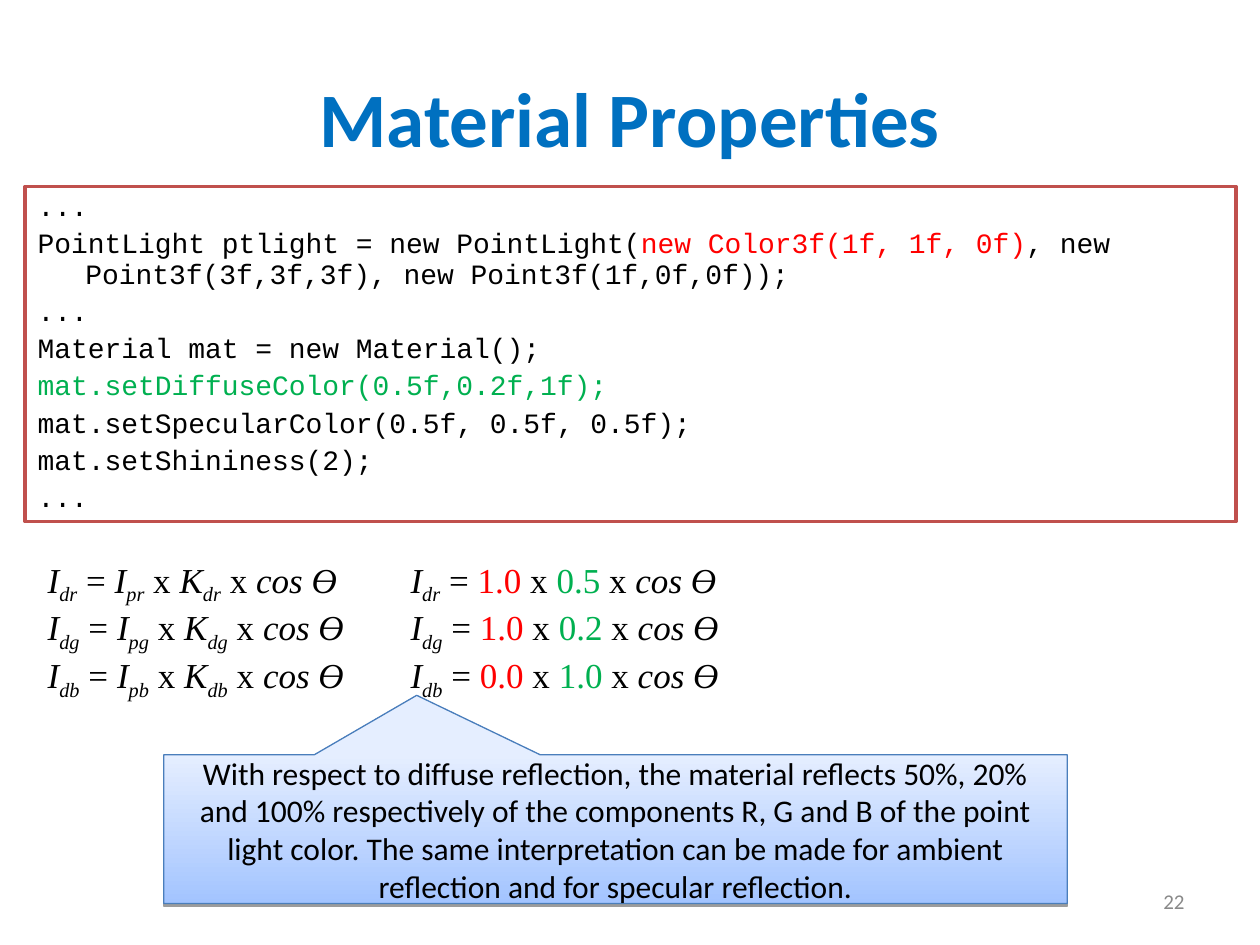
from lxml import etree
from pptx import Presentation
from pptx.dml.color import RGBColor
from pptx.enum.shapes import MSO_SHAPE
from pptx.enum.text import MSO_ANCHOR, PP_ALIGN
from pptx.oxml.ns import qn
from pptx.util import Inches, Pt

RECTANGLE = MSO_SHAPE.RECTANGLE
CALLOUT = MSO_SHAPE.RECTANGULAR_CALLOUT
TOP, MIDDLE = MSO_ANCHOR.TOP, MSO_ANCHOR.MIDDLE
LEFT, CENTER, RIGHT = PP_ALIGN.LEFT, PP_ALIGN.CENTER, PP_ALIGN.RIGHT

COLORS = {
    "title": "0070C0", "text": "000000", "number": "898989", "paper": "FFFFFF",
    "frame": "C0504D", "light": "FF0000", "material": "00B050",
    "callout_bottom": "A3C4FF", "callout_top": "E5EEFF", "callout_line": "4A7EBB",
}

CODE = [
    [("...", "text")],
    [("PointLight ptlight = new PointLight(", "text"),
     ("new Color3f(1f, 1f, 0f)", "light"),
     (", new Point3f(3f,3f,3f), new Point3f(1f,0f,0f));", "text")],
    [("...", "text")],
    [("Material mat = new Material();", "text")],
    [("mat.setDiffuseColor(0.5f,0.2f,1f);", "material")],
    [("mat.setSpecularColor(0.5f, 0.5f, 0.5f);", "text")],
    [("mat.setShininess(2);", "text")],
    [("...", "text")],
]
CHANNELS = [("r", "1.0", "0.5"), ("g", "1.0", "0.2"), ("b", "0.0", "1.0")]
EXPLANATION = (
    "With respect to diffuse reflection, the material reflects 50%, 20% and 100% "
    "respectively of the components R, G and B of the point light color. The same "
    "interpretation can be made for ambient reflection and for specular reflection."
)


def rgb(name):
    """Return the named colour."""
    return RGBColor.from_string(COLORS[name])


def add_run(paragraph, text, font, size, color="text", bold=False, italic=False):
    """Append a formatted run and return it."""
    run = paragraph.add_run()
    run.text = text
    run.font.name, run.font.size = font, Pt(size)
    run.font.bold, run.font.italic = bold, italic
    run.font.color.rgb = rgb(color)
    return run


def next_paragraph(frame, index):
    """Return the first paragraph of a frame or a new one after it."""
    return frame.add_paragraph() if index else frame.paragraphs[0]


def add_label(slide, box, text, size, color, align, bold=False):
    """Place one line of text centred vertically in its box."""
    frame = slide.shapes.add_textbox(*map(Inches, box)).text_frame
    frame.word_wrap = True
    frame.vertical_anchor = MIDDLE
    frame.paragraphs[0].alignment = align
    add_run(frame.paragraphs[0], text, "Calibri", size, color, bold)


def add_code(slide, box):
    """Place the framed listing with hanging indents."""
    listing = slide.shapes.add_shape(RECTANGLE, *map(Inches, box))
    listing.shadow.inherit = False
    listing.fill.solid()
    listing.fill.fore_color.rgb = rgb("paper")
    listing.line.color.rgb = rgb("frame")
    listing.line.width = Pt(2)
    frame = listing.text_frame
    frame.word_wrap = True
    frame.vertical_anchor = TOP
    for index, pieces in enumerate(CODE):
        line = next_paragraph(frame, index)
        line.alignment = LEFT
        line.line_spacing = 0.9
        line.space_before = Pt(4 if index else 0)
        properties = line._p.get_or_add_pPr()
        properties.set("marL", str(Inches(0.38)))
        properties.set("indent", str(-Inches(0.38)))
        for text, color in pieces:
            add_run(line, text, "Courier New", 16, color)


def add_term(paragraph, symbol, subscript):
    """Append an italic symbol with its subscript."""
    add_run(paragraph, symbol, "Times New Roman", 20, italic=True)
    index = add_run(paragraph, subscript, "Times New Roman", 20, italic=True)
    index._r.get_or_add_rPr().set("baseline", "-25000")


def add_equations(slide, box, with_values):
    """Place the diffuse equations, symbolic or with numbers filled in."""
    frame = slide.shapes.add_textbox(*map(Inches, box)).text_frame
    frame.word_wrap = True
    for index, (channel, light, material) in enumerate(CHANNELS):
        equation = next_paragraph(frame, index)
        add_term(equation, "I", "d" + channel)
        factors = [(" = ", "I", "p", light, "light"),
                   (" x ", "K", "d", material, "material")]
        for operator, symbol, kind, value, color in factors:
            add_run(equation, operator, "Times New Roman", 20)
            if with_values:
                add_run(equation, value, "Times New Roman", 20, color)
            else:
                add_term(equation, symbol, kind + channel)
        add_run(equation, " x ", "Times New Roman", 20)
        add_run(equation, "cos Ɵ", "Times New Roman", 20, italic=True)


def add_drop_shadow(shape):
    """Give a shape a faint, sharp shadow below it."""
    shape.shadow.inherit = False
    effects = shape._element.spPr.find(qn("a:effectLst"))
    shadow = etree.SubElement(effects, qn("a:outerShdw"), blurRad="0",
                              dist=str(Pt(1.6)), dir="5400000", rotWithShape="0")
    black = etree.SubElement(shadow, qn("a:srgbClr"), val=COLORS["text"])
    etree.SubElement(black, qn("a:alpha"), val="38000")


def add_explanation(slide, box):
    """Place the gradient callout that points to the equations."""
    callout = slide.shapes.add_shape(CALLOUT, *map(Inches, box))
    callout.adjustments[0], callout.adjustments[1] = -0.22, -0.9
    callout.fill.gradient()
    callout.fill.gradient_angle = 90
    stops = callout.fill.gradient_stops
    for stop, position, name in zip(stops, (0, 1), ("callout_bottom", "callout_top")):
        stop.position = position
        stop.color.rgb = rgb(name)
    callout.line.color.rgb = rgb("callout_line")
    callout.line.width = Pt(0.75)
    add_drop_shadow(callout)
    frame = callout.text_frame
    frame.word_wrap = True
    frame.vertical_anchor = MIDDLE
    frame.paragraphs[0].alignment = CENTER
    add_run(frame.paragraphs[0], EXPLANATION, "Calibri", 18)


def main():
    """Build and save the slide."""
    deck = Presentation()
    deck.slide_width, deck.slide_height = Inches(10), Inches(7.5)
    slide = deck.slides.add_slide(deck.slide_layouts[6])
    add_label(slide, (0.5, 0.3, 9, 1.25), "Material Properties", 44, "title", CENTER, True)
    add_label(slide, (7.17, 6.95, 2.33, 0.4), "22", 12, "number", RIGHT)
    add_code(slide, (0.2, 1.48, 9.61, 2.66))
    add_equations(slide, (0.28, 4.38, 2.75, 1.24), with_values=False)
    add_equations(slide, (3.16, 4.38, 2.75, 1.24), with_values=True)
    add_explanation(slide, (1.3, 5.99, 7.17, 1.18))
    deck.save("out.pptx")


if __name__ == "__main__":
    main()
